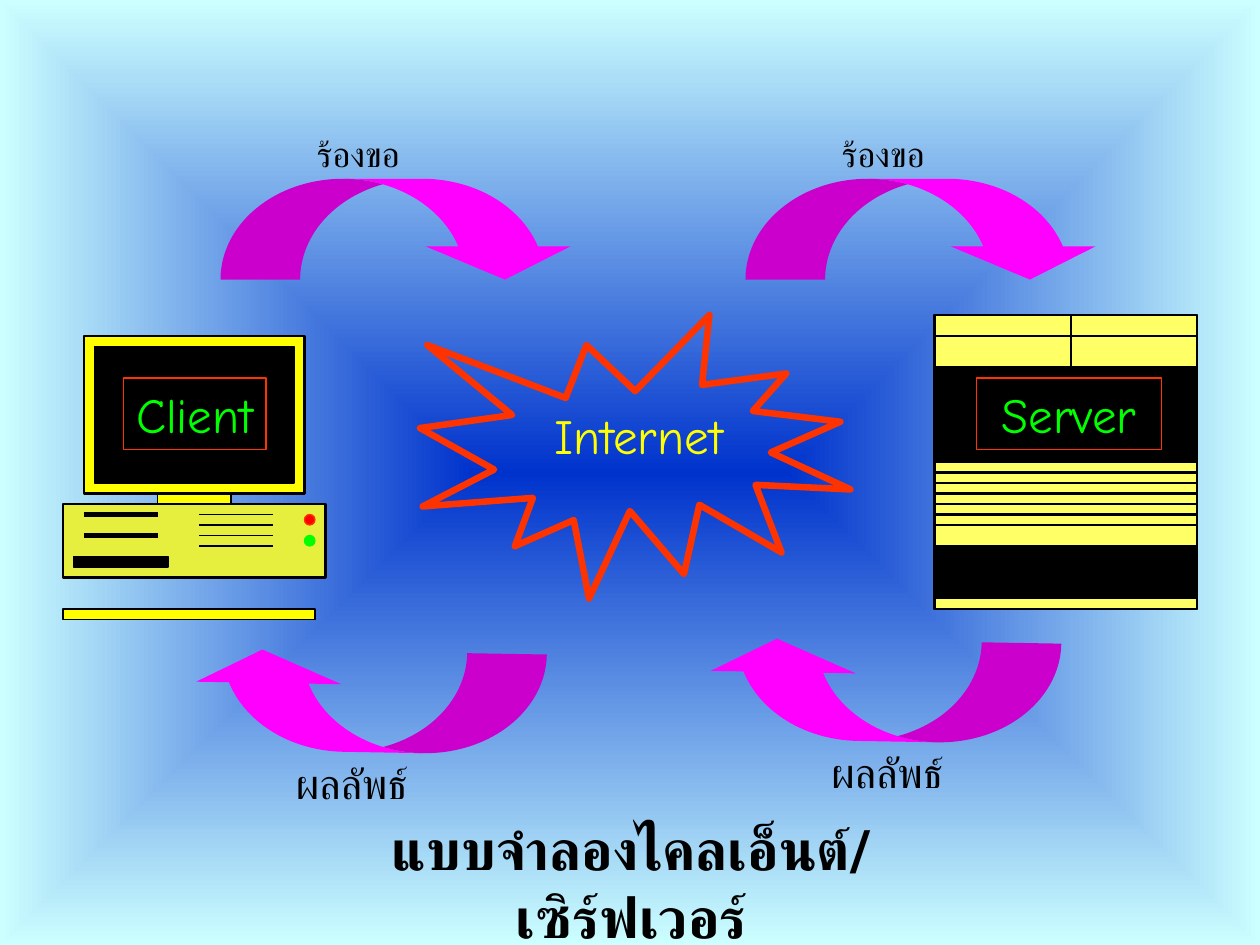
from lxml import etree
from pptx import Presentation
from pptx.dml.color import RGBColor
from pptx.enum.shapes import MSO_CONNECTOR, MSO_SHAPE as Preset
from pptx.enum.text import MSO_ANCHOR, MSO_AUTO_SIZE as AutoSize, PP_ALIGN as Align
from pptx.oxml import parse_xml
from pptx.oxml.ns import nsdecls, qn
from pptx.util import Pt

THEME = {
    "black": "000000", "yellow": "FFFF00", "case": "E6EE3E", "server": "FFFF66",
    "red": "FF0000", "orange": "FF3300", "green": "00FF00", "arrow": "FF00FF",
    "centre": "0033CC", "edge": "CCFFFF",
    "name_font": "Comic Neue", "label_font": "Lato", "title_font": "Roboto",
    "name_size": 28, "request_size": 20, "result_size": 24, "title_size": 32,
    "thin": 0.75, "medium": 1.5, "thick": 3, "burst": 3.75,
}

# Content: box, fill, outline colour, outline width
TITLE = ("แบบจำลองไคลเอ็นต์/เซิร์ฟเวอร์", (151.2, 481, 419, 46))
CLIENT_PARTS = [
    ((36, 348, 144, 6), "yellow", "black", "thin"),     # keyboard
    ((36, 288, 150, 42), "case", "black", "medium"),    # case
    ((90, 282, 42, 6), "yellow", "black", "thin"),      # stand
    ((48, 192, 126, 90), "yellow", "black", "medium"),  # monitor
    ((54, 198, 114, 78), "black", "black", "thin"),     # screen
    ((42, 318, 54, 6), "black", "black", "thin"),       # drive
]
SERVER_PARTS = [
    ((534, 180, 150, 168), "server", "black", "medium"),  # cabinet
    ((534, 300, 150, 48), None, "black", "medium"),       # lower panel
    ((534, 180, 78, 84), None, "black", "medium"),        # left door
    ((612, 180, 72, 84), None, "black", "medium"),        # right door
    ((534, 312, 150, 30), "black", "black", "thin"),      # lower bay
    ((534, 210, 150, 54), "black", "black", "thin"),      # display
]
LEDS = [
    ((174, 294, 6, 6), "red", "orange", "thin"),
    ((174, 306, 6, 6), "green", "green", "thin"),
]
# Rows of horizontal lines: left, right, heights, width
CLIENT_LINES = [
    (48, 90, range(294, 307, 12), "thick"),
    (114, 156, range(294, 313, 6), "thin"),
]
SERVER_LINES = [(534, 684, [192, 210, *range(270, 295, 6)], "medium")]
BURST = ((240, 180, 246, 162), None, "orange", "burst")
# Names: text, box, colour, framed, wrapped
NAMES = [
    ("Internet", (309.6, 228.2, 110.9, 41), "yellow", False, False),
    ("Client", (70.6, 216, 81.4, 41), "green", True, False),
    ("Server", (558, 216, 105.8, 41), "green", True, True),
]
ARROW_SIZE = (204, 57.6)
ARROW_SHAPE = (0.79, 1.44, 0.33)  # shaft width, head width, head length
ARROWS = [(126, 102.2, 0), (426, 102.2, 0), (108, 372.2, 181), (402, 366, 181)]
LABELS = [
    ("ร้องขอ", (174, 78, 78, 19.5), "request_size"),
    ("ร้องขอ", (474, 78, 78, 19.5), "request_size"),
    ("ผลลัพธ์", (468, 420, 114, 42), "result_size"),
    ("ผลลัพธ์", (162, 426, 114, 42), "result_size"),
]


def colour(key):
    return RGBColor.from_string(THEME[key])


def pts(values):
    return [Pt(value) for value in values]


def add_part(slide, preset, box, fill, outline, width):
    part = slide.shapes.add_shape(preset, *pts(box))
    part.shadow.inherit = False
    if fill:
        part.fill.solid()
        part.fill.fore_color.rgb = colour(fill)
    else:
        part.fill.background()
    if outline:
        part.line.color.rgb = colour(outline)
        part.line.width = Pt(THEME[width])
    else:
        part.line.fill.background()
    return part


def add_lines(slide, rows):
    for left, right, heights, width in rows:
        for y in heights:
            line = slide.shapes.add_connector(
                MSO_CONNECTOR.STRAIGHT, *pts((left, y, right, y)))
            line.line.color.rgb = colour("black")
            line.line.width = Pt(THEME[width])
            etree.SubElement(line._element.spPr, qn("a:effectLst"))


def write(holder, text, font, size, ink, align, wrap=False, bold=False):
    frame = holder.text_frame
    frame.text = text
    frame.word_wrap = wrap
    frame.auto_size = AutoSize.NONE
    frame.vertical_anchor = MSO_ANCHOR.MIDDLE
    paragraph = frame.paragraphs[0]
    paragraph.alignment = align
    run = paragraph.runs[0]
    run.font.name = THEME[font]
    run.font.size = Pt(THEME[size])
    run.font.bold = bold
    run.font.color.rgb = colour(ink)
    return run


def paint_background(slide):
    fill = slide.background.fill
    fill.gradient()
    for stop, position, key in zip(fill.gradient_stops, (0, 1), ("centre", "edge")):
        stop.position = position
        stop.color.rgb = colour(key)
    # Spread the gradient from the centre to the edges
    linear = next(slide._element.iter(qn("a:lin")))
    linear.getparent().replace(linear, parse_xml(
        f'<a:path {nsdecls("a")} path="rect">'
        '<a:fillToRect l="50000" t="50000" r="50000" b="50000"/></a:path>'))


def main():
    deck = Presentation()
    deck.slide_width, deck.slide_height = Pt(720), Pt(540)
    slide = deck.slides.add_slide(deck.slide_layouts[5])
    paint_background(slide)

    # Title
    title = slide.shapes.title
    text, box = TITLE
    title.left, title.top, title.width, title.height = pts(box)
    write(title, text, "title_font", "title_size", "black", Align.CENTER,
          wrap=True, bold=True)

    # Client, server and the burst between them
    for part in CLIENT_PARTS + SERVER_PARTS:
        add_part(slide, Preset.RECTANGLE, *part)
    for led in LEDS:
        add_part(slide, Preset.OVAL, *led)
    add_lines(slide, CLIENT_LINES + SERVER_LINES)
    add_part(slide, Preset.EXPLOSION1, *BURST)

    # Names
    for text, box, ink, framed, wrap in NAMES:
        if framed:
            name = add_part(slide, Preset.RECTANGLE, box, None, "orange", "thin")
        else:
            name = slide.shapes.add_textbox(*pts(box))
        write(name, text, "name_font", "name_size", ink, Align.CENTER, wrap)

    # Request and result arrows
    for left, top, turn in ARROWS:
        arrow = add_part(slide, Preset.CURVED_DOWN_ARROW, (left, top, *ARROW_SIZE),
                         "arrow", None, None)
        for index, value in enumerate(ARROW_SHAPE):
            arrow.adjustments[index] = value
        arrow.rotation = turn

    # Arrow labels, with outlined letters
    for text, box, size in LABELS:
        label = slide.shapes.add_textbox(*pts(box))
        run = write(label, text, "label_font", size, "black", Align.LEFT)
        run.font._element.insert(0, parse_xml(
            f'<a:ln {nsdecls("a")} w="{Pt(THEME["thin"])}"><a:solidFill>'
            f'<a:srgbClr val="{THEME["black"]}"/></a:solidFill></a:ln>'))

    deck.save("out.pptx")


if __name__ == "__main__":
    main()
